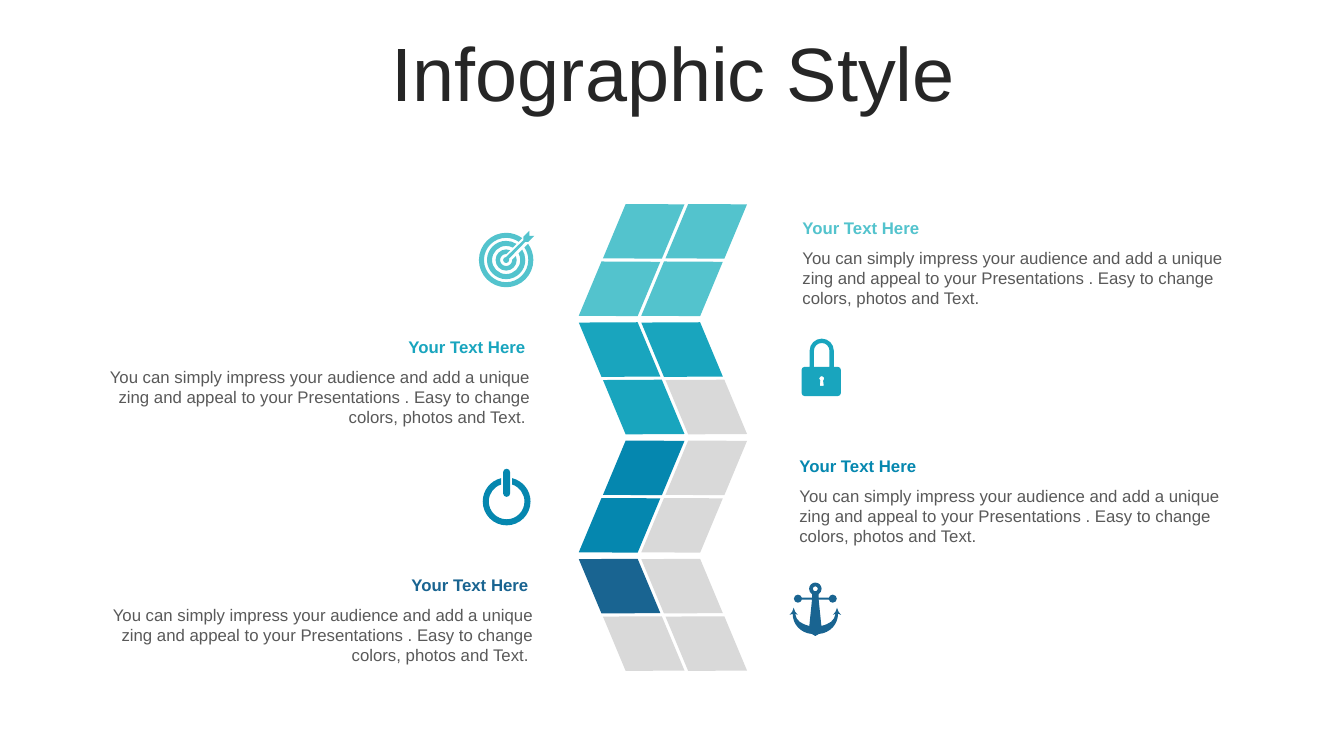
from dataclasses import dataclass
from math import asin, cos, degrees, floor, radians, sin, tan

from lxml.etree import SubElement
from pptx import Presentation
from pptx.dml.color import RGBColor as Color
from pptx.enum.shapes import MSO_SHAPE as Shape
from pptx.enum.text import MSO_ANCHOR as Anchor, PP_ALIGN as Align
from pptx.oxml.ns import qn
from pptx.util import Inches, Pt


@dataclass(frozen=True)
class Theme:
    font: str = "Arial"
    title_size: int = 54
    text_size: int = 12
    title: str = "262626"
    body: str = "595959"
    empty: str = "D9D9D9"
    bands: tuple = ("53C3CD", "19A5BE", "0587AF", "196491")


THEME = Theme()
HEADING = "Your Text Here"
BODY = ("You can simply impress your audience and add a unique zing and appeal "
        "to your Presentations . Easy to change colors, photos and Text.")

# Column of tiles: inches
COLUMN_LEFT, COLUMN_TOP, COLUMN_SPAN = 5.66, 1.97, 3.52
TOPIC_TOP, TOPIC_PITCH = 2.11, 1.18
ROW_PITCH, TILE_PITCH, LEAN = 0.57, 0.62, 0.24
TILE_WIDTH, TILE_HEIGHT, TILE_TURN = 0.97, 0.65, 33.5
# Filled (row, column) cells of each band
FILLED_TILES = (((0, 0), (0, 1), (1, 0), (1, 1)), ((0, 0), (0, 1), (1, 0)),
                ((0, 0), (1, 0)), ((0, 0),))


def paint(shape, color):
    shape.shadow.inherit = False
    shape.fill.solid()
    shape.fill.fore_color.rgb = Color.from_string(color)
    shape.line.fill.background()


def add_text(slide, box, text, color, size, paragraph_format, bold=False,
             anchor=Anchor.TOP):
    frame = slide.shapes.add_textbox(*map(Inches, box)).text_frame
    frame.word_wrap = True
    frame.vertical_anchor = anchor
    paragraph = frame.paragraphs[0]
    for name, value in paragraph_format.items():
        setattr(paragraph, name, value)
    run = paragraph.add_run()
    run.text = text
    for name, value in {"name": THEME.font, "size": Pt(size), "bold": bold}.items():
        setattr(run.font, name, value)
    run.font.color.rgb = Color.from_string(color)
    return paragraph


def add_end_gap(paragraph, size, spacing):
    """One widely spaced blank that holds the last line off the margin."""
    run = paragraph.add_run()
    run.text = " "
    run.font.name, run.font.size = THEME.font, Pt(size)
    run.font._element.set("spc", str(spacing))


# Icon outlines: hundredths of an inch from the icon's top left corner.
# A step is (end,) for a line or (control, control, end) for a curve.
def lines(*points):
    return [(point,) for point in points]


def arc(x, y, radius, start=0, end=360):
    """Line to the arc's start, then one curve for each quadrant it crosses."""
    low, high = sorted((start, end))
    stops = [low, *range(90 * (floor(low / 90) + 1), floor(high) + 1, 90)]
    if stops[-1] < high:
        stops.append(high)
    if start > end:
        stops.reverse()

    def at(angle, pull=0):
        c, s = cos(radians(angle)), sin(radians(angle))
        return x + radius * (c - pull * s), y + radius * (s + pull * c)

    steps = lines(at(start))
    for a, b in zip(stops, stops[1:]):
        pull = 4 / 3 * tan(radians(b - a) / 4)
        steps.append((at(a, pull), at(b, -pull), at(b)))
    return steps


def open_ring(x, y, outer, inner, direction, half_gap):
    """Ring with a gap of even width towards the given direction."""
    cut_out, cut_in = (degrees(asin(half_gap / r)) for r in (outer, inner))
    return (arc(x, y, outer, direction + cut_out, direction + 360 - cut_out)
            + arc(x, y, inner, direction + 360 - cut_in, direction + cut_in))


def target_outlines():
    rings = [open_ring(27, 29, outer, inner, -45, 4)
             for outer, inner in ((27, 22), (19, 14), (10.5, 6))]
    arrow = [*lines((50, 0), (50, 5), (55, 5), (49, 11), (46, 11), (29.5, 28)),
             *arc(27, 29, 3, -18, 270), *lines((44, 9.5), (44, 6))]
    return [*rings, arrow]


def lock_outlines():
    case = [*lines((8, 28)), *arc(20, 12, 12, 180, 360), *lines((32, 28)),
            *arc(36, 31, 3, -90, 0), *arc(36, 54, 3, 0, 90),
            *arc(3, 54, 3, 90, 180), *arc(3, 31, 3, 180, 270)]
    opening = [*lines((12.3, 28)), *arc(20, 12, 7.7, 180, 360), *lines((27.7, 28))]
    keyhole = [*arc(20, 39.7, 2.5, 125, 415), *lines((22, 47), (18, 47))]
    return [case, opening, keyhole]


def power_outlines():
    bar = arc(23.5, 3.5, 3.5, 180, 360) + arc(23.5, 24.5, 3.5, 0, 180)
    return [open_ring(23.5, 32.5, 23.7, 17.7, -90, 5.5), bar]


def anchor_outlines():
    axis = 25.7
    half = [*arc(0, 6.2, 6.2, -90, 58), *lines((3.3, 15)),
            *arc(17.3, 16, 4, 194, 526), *lines((3.3, 17), (6, 43)),
            ((14, 41), (19, 38), (20, 31)), *lines((17.5, 32)),
            ((19.5, 30), (21, 28), (21.5, 25)), ((22, 28), (23.5, 30), (25.5, 32)),
            *lines((22.5, 31)), ((22.5, 41), (15, 50), (3.5, 51)), *lines((0, 53))]
    right = [tuple((axis + x, y) for x, y in step) for step in half]
    mirrored = [tuple((axis - x, y) for x, y in step) for step in half]
    left = [(*step[-2::-1], before[-1])
            for before, step in zip(mirrored[-2::-1], mirrored[:0:-1])]
    return [right + left, arc(axis, 6.2, 2.5)]


def add_icon(slide, left, top, outlines, color):
    fine = [[tuple((round(x * 100), round(y * 100)) for x, y in step)
             for step in outline] for outline in outlines]
    builder = slide.shapes.build_freeform(*fine[0][0][-1], scale=Inches(1) / 10000)
    for index, outline in enumerate(fine):
        if index:
            builder.move_to(*outline[0][-1])
        builder.add_line_segments([step[-1] for step in outline[1:]])
    shape = builder.convert_to_shape(Inches(left), Inches(top))
    paint(shape, color)

    # Turn the straight steps that have control points into curves
    segments = list(shape._element.iter(qn("a:moveTo"), qn("a:lnTo")))
    for segment, step in zip(segments, (step for outline in fine for step in outline)):
        if len(step) == 1:
            continue
        end = segment[0]
        shift_x = int(end.get("x")) - step[-1][0]
        shift_y = int(end.get("y")) - step[-1][1]
        curve = SubElement(segment.getparent(), qn("a:cubicBezTo"))
        for x, y in step:
            SubElement(curve, qn("a:pt"), x=str(x + shift_x), y=str(y + shift_y))
        segment.getparent().replace(segment, curve)


def add_band(slide, left, top, leans_right, filled, color):
    """Two by two slanted tiles, some of them filled."""
    for row in range(2):
        shift = LEAN if leans_right == (row == 0) else 0
        for column in range(2):
            tile = slide.shapes.add_shape(
                Shape.FLOWCHART_DECISION,
                Inches(left + shift + column * TILE_PITCH),
                Inches(top + row * ROW_PITCH),
                Inches(TILE_WIDTH), Inches(TILE_HEIGHT))
            tile.rotation = 360 - TILE_TURN if leans_right else TILE_TURN
            paint(tile, color if (row, column) in filled else THEME.empty)


def add_topic(slide, left, top, width, color, align):
    """Heading with its paragraph below."""
    body = add_text(slide, (left, top + 0.3, width, 0.71), BODY, THEME.body,
                    THEME.text_size, {"alignment": align})
    if align == Align.RIGHT:
        add_end_gap(body, THEME.text_size, 1340)
    add_text(slide, (left, top, width - 0.05, 0.3), HEADING, color,
             THEME.text_size, {"alignment": align}, bold=True)


def main():
    presentation = Presentation()
    presentation.slide_width, presentation.slide_height = Inches(13.33), Inches(7.5)
    slide = presentation.slides.add_slide(presentation.slide_layouts[6])
    add_text(slide, (0.35, 0.37, 12.66, 0.79), "Infographic Style", THEME.title,
             THEME.title_size, {"alignment": Align.CENTER, "line_spacing": 0.9,
                                "space_before": Pt(10)}, anchor=Anchor.MIDDLE)

    # Topic left, then icon left, top and outlines
    bands = ((7.86, 4.75, 2.29, target_outlines()),
             (0.8, 7.95, 3.36, lock_outlines()),
             (7.83, 4.79, 4.65, power_outlines()),
             (0.83, 7.83, 5.78, anchor_outlines()))
    for index, (topic_left, icon_left, icon_top, outlines) in enumerate(bands):
        color = THEME.bands[index]
        on_right = index % 2 == 0
        add_band(slide, COLUMN_LEFT, COLUMN_TOP + index * COLUMN_SPAN / 3, on_right,
                 FILLED_TILES[index], color)
        add_topic(slide, topic_left, TOPIC_TOP + index * TOPIC_PITCH,
                  4.51 if on_right else 4.56, color,
                  Align.LEFT if on_right else Align.RIGHT)
        add_icon(slide, icon_left, icon_top, outlines, color)

    presentation.save("out.pptx")


if __name__ == "__main__":
    main()
